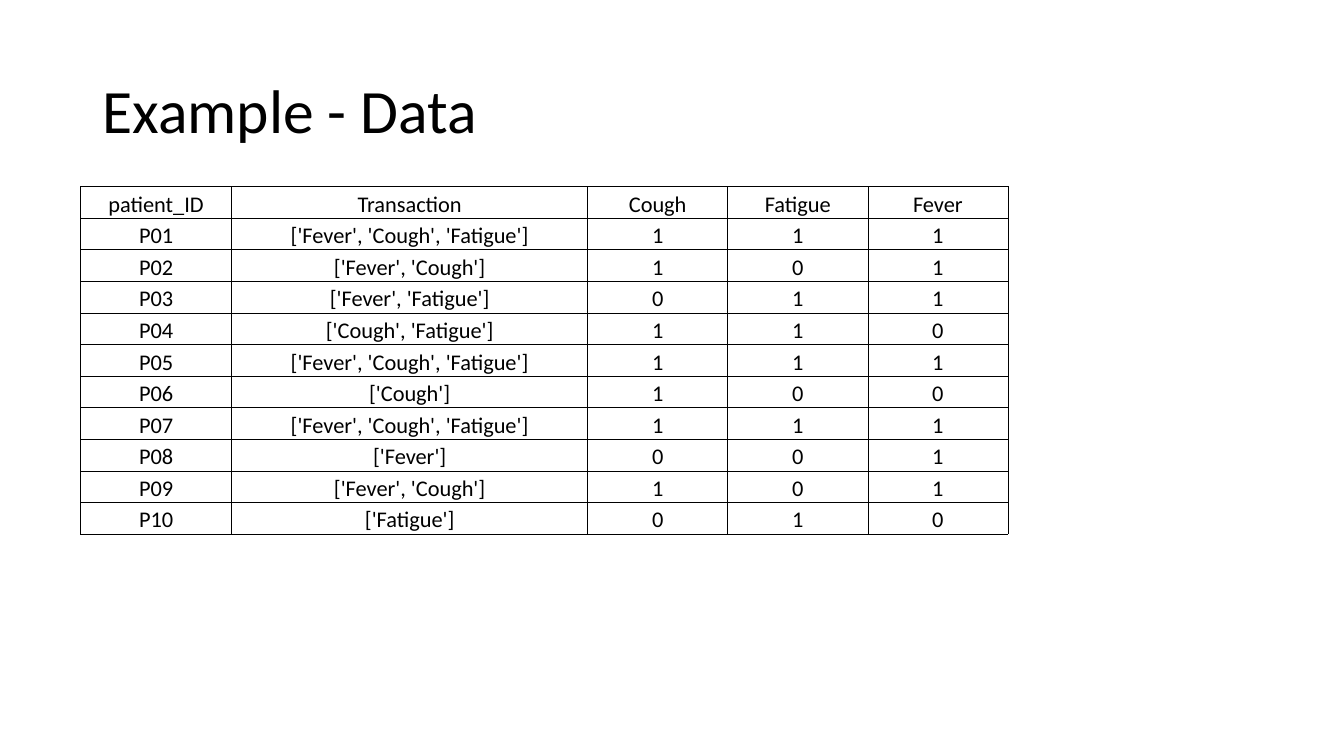
"""Build a slide with a table of patient symptom transactions."""
from lxml.etree import SubElement
from pptx import Presentation
from pptx.dml.color import RGBColor
from pptx.enum.text import MSO_ANCHOR, PP_ALIGN
from pptx.oxml.ns import qn
from pptx.util import Cm, Pt

TITLE = "Example - Data"
SYMPTOMS = ["Cough", "Fatigue", "Fever"]
TRANSACTIONS = [
    ["Fever", "Cough", "Fatigue"],
    ["Fever", "Cough"],
    ["Fever", "Fatigue"],
    ["Cough", "Fatigue"],
    ["Fever", "Cough", "Fatigue"],
    ["Cough"],
    ["Fever", "Cough", "Fatigue"],
    ["Fever"],
    ["Fever", "Cough"],
    ["Fatigue"],
]
COLUMN_WIDTHS = [3.81, 8.97] + [3.53] * len(SYMPTOMS)
TABLE_LEFT, TABLE_TOP, TABLE_HEIGHT = 2.03, 4.7, 8.76
FONT = "Calibri"
BLACK = "000000"


def color(hex_string):
    """Return the colour for a hex string."""
    return RGBColor.from_string(hex_string)


def format_paragraph(paragraph, size, alignment):
    """Set the font and alignment of a paragraph."""
    paragraph.alignment = alignment
    paragraph.font.name = FONT
    paragraph.font.size = Pt(size)
    paragraph.font.bold = False
    paragraph.font.color.rgb = color(BLACK)


def add_borders(cell):
    """Draw a thin line on all four sides of a cell."""
    properties = cell._tc.get_or_add_tcPr()
    for side in ("lnL", "lnR", "lnT", "lnB"):
        line = SubElement(properties, qn(f"a:{side}"), w=str(Pt(0.5)))
        fill = SubElement(line, qn("a:solidFill"))
        SubElement(fill, qn("a:srgbClr"), val=BLACK)


def add_title(slide):
    """Place and format the title."""
    title = slide.shapes.title
    title.left, title.top, title.width, title.height = Cm(2.33), Cm(1.01), Cm(29.21), Cm(3.68)
    title.text_frame.text = TITLE
    title.text_frame.vertical_anchor = MSO_ANCHOR.MIDDLE
    paragraph = title.text_frame.paragraphs[0]
    paragraph.line_spacing = 0.9
    format_paragraph(paragraph, 44, PP_ALIGN.LEFT)


def add_data_table(slide):
    """Add the transactions with one 0/1 column per symptom."""
    rows = [["patient_ID", "Transaction"] + SYMPTOMS]
    for number, transaction in enumerate(TRANSACTIONS, 1):
        flags = [str(int(symptom in transaction)) for symptom in SYMPTOMS]
        rows.append([f"P{number:02}", str(transaction)] + flags)

    table = slide.shapes.add_table(
        len(rows), len(COLUMN_WIDTHS), Cm(TABLE_LEFT), Cm(TABLE_TOP),
        Cm(sum(COLUMN_WIDTHS)), Cm(TABLE_HEIGHT)).table
    table.first_row = table.horz_banding = False
    for column, width in zip(table.columns, COLUMN_WIDTHS):
        column.width = Cm(width)
    for row, texts in zip(table.rows, rows):
        row.height = Cm(TABLE_HEIGHT / len(rows))
        for cell, text in zip(row.cells, texts):
            cell.text = text
            cell.vertical_anchor = MSO_ANCHOR.BOTTOM
            cell.margin_left = cell.margin_right = cell.margin_top = Cm(0.02)
            cell.margin_bottom = 0
            add_borders(cell)
            cell.fill.background()
            format_paragraph(cell.text_frame.paragraphs[0], 16, PP_ALIGN.CENTER)


def main():
    """Create and save the presentation."""
    presentation = Presentation()
    presentation.slide_width, presentation.slide_height = Cm(33.87), Cm(19.05)
    slide = presentation.slides.add_slide(presentation.slide_layouts.get_by_name("Title Only"))
    add_title(slide)
    add_data_table(slide)
    presentation.save("out.pptx")


if __name__ == "__main__":
    main()
